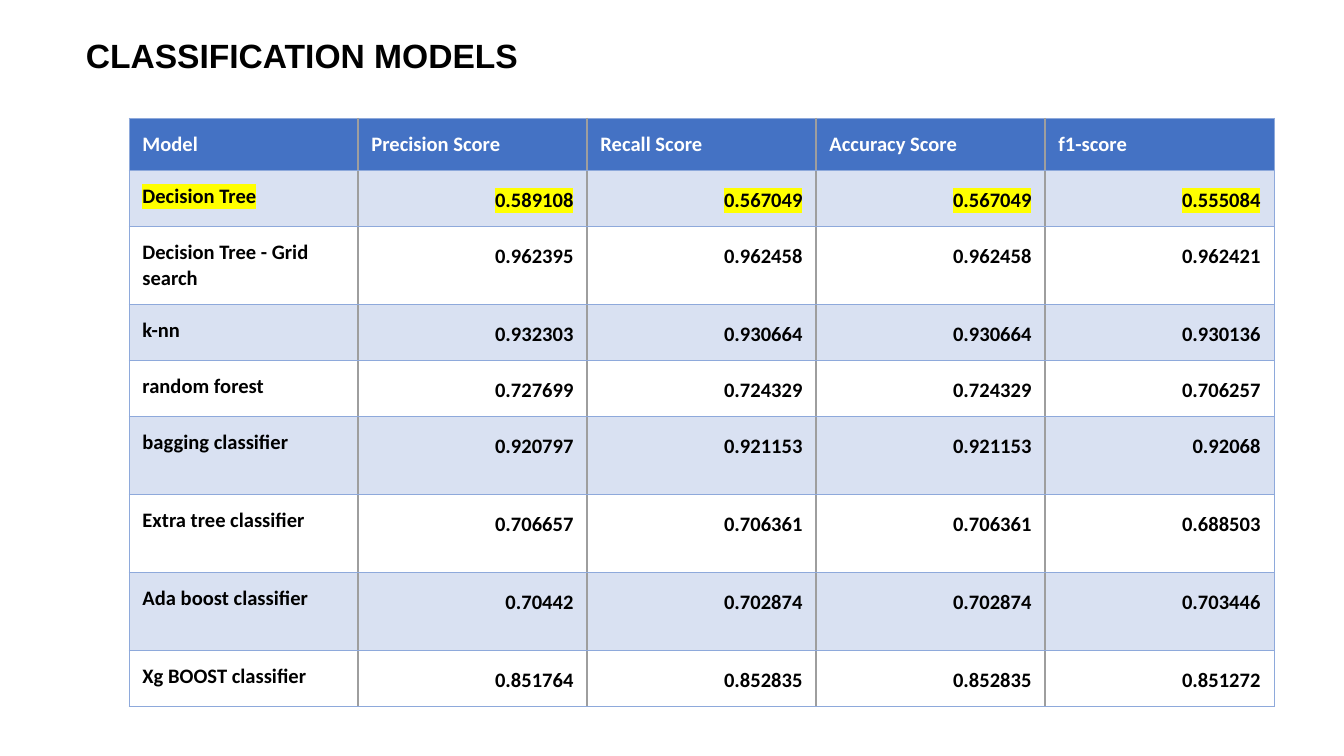
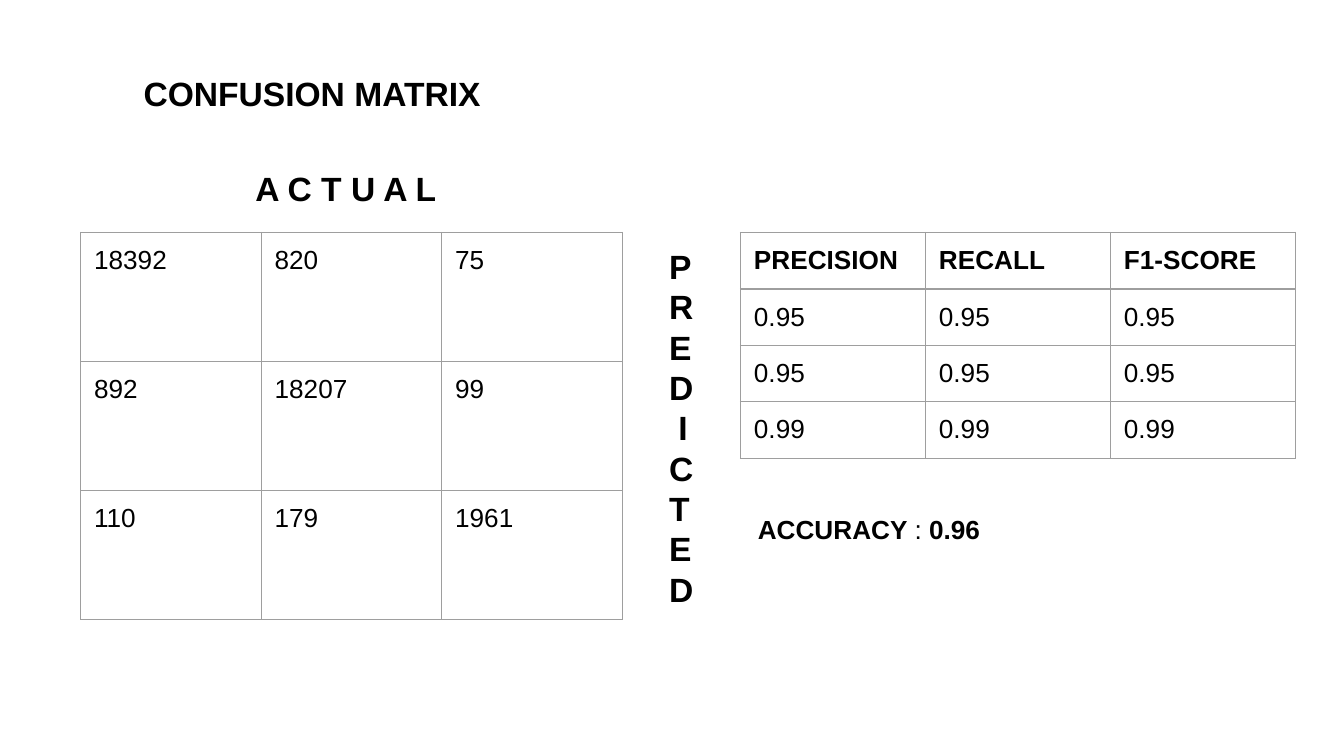
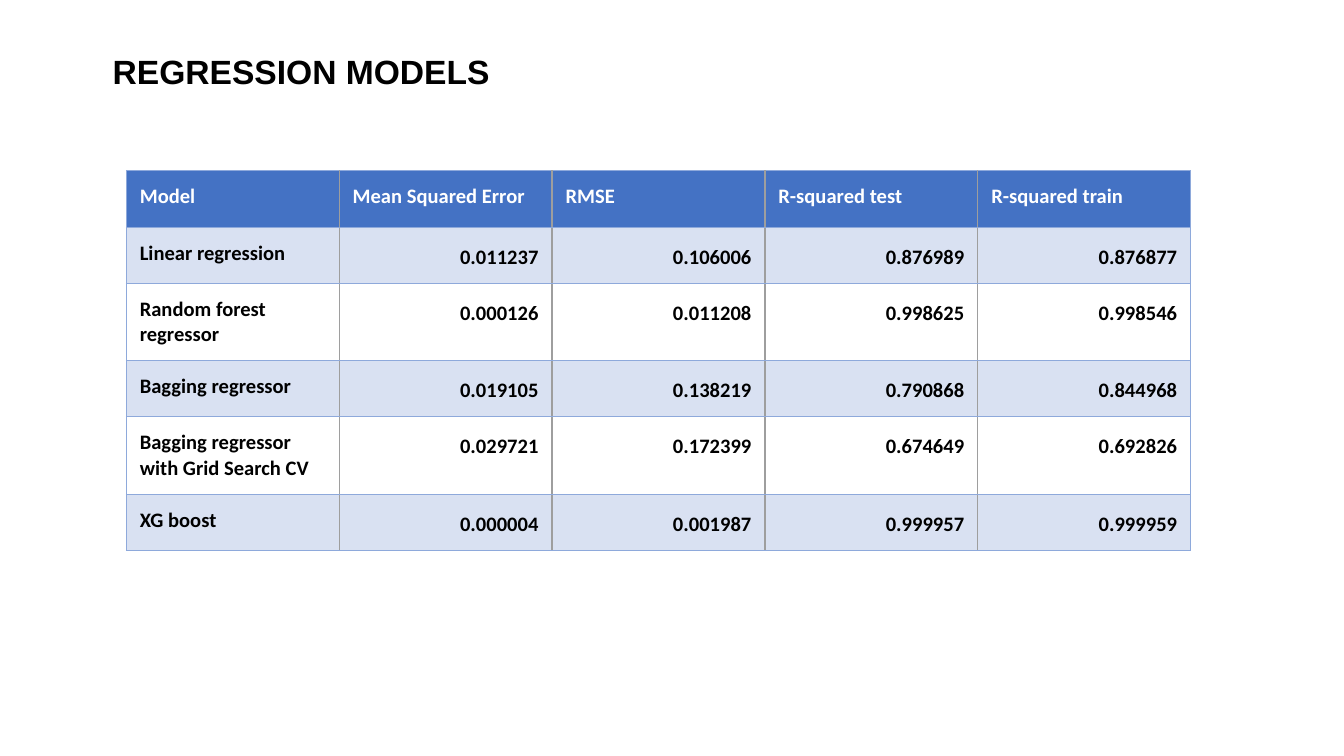
from dataclasses import dataclass

from lxml.etree import SubElement
from pptx import Presentation
from pptx.dml.color import RGBColor as Color
from pptx.enum.text import MSO_AUTO_SIZE as AutoSize, MSO_ANCHOR as Anchor, PP_ALIGN as Align
from pptx.oxml.ns import qn
from pptx.util import Inches, Pt


@dataclass(frozen=True)
class Theme:
    ink: str = "000000"
    paper: str = "FFFFFF"
    header: str = "4472C4"
    band: str = "D9E1F2"
    rule: str = "8EA9DB"
    grid: str = "9E9E9E"
    marker: str = "FFFF00"
    heading_font: str = "Arial"
    score_font: str = "Calibri"
    heading_size: int = 18
    body_size: int = 14
    score_size: int = 11
    rule_width: float = 0.5
    grid_width: float = 0.75
    score_spacing: float = 1.15
    inset: float = 0.1


THEME = Theme()
RULE = (THEME.rule, THEME.rule_width)
GRID = (THEME.grid, THEME.grid_width)

CLASSIFICATION_SCORES = [
    ["Model", "Precision Score", "Recall Score", "Accuracy Score", "f1-score"],
    ["Decision Tree", "0.589108", "0.567049", "0.567049", "0.555084"],
    ["Decision Tree - Grid search", "0.962395", "0.962458", "0.962458", "0.962421"],
    ["k-nn", "0.932303", "0.930664", "0.930664", "0.930136"],
    ["random forest", "0.727699", "0.724329", "0.724329", "0.706257"],
    ["bagging classifier", "0.920797", "0.921153", "0.921153", "0.92068"],
    ["Extra tree classifier", "0.706657", "0.706361", "0.706361", "0.688503"],
    ["Ada boost classifier", "0.70442", "0.702874", "0.702874", "0.703446"],
    ["Xg BOOST classifier", "0.851764", "0.852835", "0.852835", "0.851272"],
]
REGRESSION_SCORES = [
    ["Model", "Mean Squared Error", "RMSE", "R-squared test", "R-squared train"],
    ["Linear regression", "0.011237", "0.106006", "0.876989", "0.876877"],
    ["Random forest regressor", "0.000126", "0.011208", "0.998625", "0.998546"],
    ["Bagging regressor", "0.019105", "0.138219", "0.790868", "0.844968"],
    ["Bagging regressor with Grid Search CV", "0.029721", "0.172399", "0.674649", "0.692826"],
    ["XG boost", "0.000004", "0.001987", "0.999957", "0.999959"],
]
CONFUSION_COUNTS = [
    ["18392", "820", "75"],
    ["892", "18207", "99"],
    ["110", "179", "1961"],
]
CLASS_SCORES = [
    ["PRECISION", "RECALL", "F1-SCORE"],
    ["0.95", "0.95", "0.95"],
    ["0.95", "0.95", "0.95"],
    ["0.99", "0.99", "0.99"],
]


def add_run(paragraph, text, size, font=THEME.heading_font, color=THEME.ink, bold=False, marker=None):
    run = paragraph.add_run()
    run.text = text
    run.font.size = Pt(size)
    run.font.bold = bold
    run.font.color.rgb = Color.from_string(color)
    run.font.name = font
    if marker:
        properties = run.font._element
        highlight = SubElement(properties, qn("a:highlight"))
        SubElement(highlight, qn("a:srgbClr"), val=marker)
        properties.find(qn("a:solidFill")).addnext(highlight)


def set_insets(target):
    target.margin_left = target.margin_right = Inches(THEME.inset)
    target.margin_top = target.margin_bottom = Inches(THEME.inset)


def add_text(slide, box, lines, size=THEME.heading_size, indent=0):
    frame = slide.shapes.add_textbox(*map(Inches, box)).text_frame
    frame.word_wrap = True
    frame.auto_size = AutoSize.NONE
    frame.vertical_anchor = Anchor.TOP
    set_insets(frame)
    frame.margin_left = Inches(THEME.inset + indent)
    for index, line in enumerate(lines):
        paragraph = frame.add_paragraph() if index else frame.paragraphs[0]
        for text, bold in line:
            add_run(paragraph, text, size, bold=bold)


def add_title(slide, box, text):
    add_text(slide, box, [[(text, True)]])


def set_borders(cell, left, right, top, bottom):
    properties = cell._tc.get_or_add_tcPr()
    sides = {"a:lnL": left, "a:lnR": right, "a:lnT": top, "a:lnB": bottom}
    for index, (tag, (color, width)) in enumerate(sides.items()):
        line = SubElement(properties, qn(tag), w=str(Pt(width)))
        fill = SubElement(line, qn("a:solidFill"))
        SubElement(fill, qn("a:srgbClr"), val=color)
        properties.insert(index, line)


def add_grid(slide, left, top, width, row_heights, rows, style_cell):
    columns = len(rows[0])
    frame = slide.shapes.add_table(
        len(rows), columns, Inches(left), Inches(top), Inches(width), Inches(sum(row_heights)))
    table = frame.table
    table.first_row = table.horz_banding = False
    for column in table.columns:
        column.width = Inches(width / columns)
    for row, height in zip(table.rows, row_heights):
        row.height = Inches(height)
    for row_index, row in enumerate(rows):
        for column_index, text in enumerate(row):
            cell = table.cell(row_index, column_index)
            set_insets(cell)
            style_cell(cell, text, row_index, column_index)


def add_score_table(slide, left, top, width, row_heights, rows, marked_row=None):
    last_column = len(rows[0]) - 1

    def style_cell(cell, text, row, column):
        if row == 0 or row % 2:
            cell.fill.solid()
            cell.fill.fore_color.rgb = Color.from_string(THEME.band if row else THEME.header)
        else:
            cell.fill.background()
        set_borders(cell, GRID if column else RULE, RULE if column == last_column else GRID, RULE, RULE)
        paragraph = cell.text_frame.paragraphs[0]
        if row and column:
            paragraph.alignment = Align.RIGHT
            paragraph.line_spacing = THEME.score_spacing
        add_run(paragraph, text, THEME.score_size, THEME.score_font,
                THEME.ink if row else THEME.paper, True,
                THEME.marker if row == marked_row else None)

    add_grid(slide, left, top, width, row_heights, rows, style_cell)


def add_plain_table(slide, left, top, width, row_height, rows, has_header=False):
    def style_cell(cell, text, row, column):
        cell.fill.background()
        set_borders(cell, GRID, GRID, GRID, GRID)
        add_run(cell.text_frame.paragraphs[0], text, THEME.body_size, bold=has_header and row == 0)

    add_grid(slide, left, top, width, [row_height] * len(rows), rows, style_cell)


def build_classification(slide):
    add_title(slide, (0.54, 0.16, 3.81, 0.59), "CLASSIFICATION MODELS")
    heights = [0.38, 0.41, 0.58, 0.41, 0.41, 0.58, 0.58, 0.58, 0.41]
    add_score_table(slide, 0.96, 0.88, 8.52, heights, CLASSIFICATION_SCORES, marked_row=1)


def build_confusion(slide):
    tables_top = 1.73
    add_title(slide, (0.97, 0.44, 5.22, 0.42), "CONFUSION MATRIX")
    add_plain_table(slide, 0.6, tables_top, 4.03, 0.96, CONFUSION_COUNTS)
    add_text(slide, (0.97, 1.15, 3.51, 0.29), [[("A C T U A L", True)]], indent=0.83)
    letters = ["P", "R", "E", "D", " I", "C", "T", "E", "D"]
    add_text(slide, (4.88, tables_top, 0.5, 2.38), [[(letter, True)] for letter in letters])
    add_plain_table(slide, 5.51, tables_top, 4.13, 0.42, CLASS_SCORES, has_header=True)
    accuracy = [("ACCURACY ", True), (": ", False), ("0.96", True)]
    add_text(slide, (5.54, 3.72, 4.14, 0.56), [accuracy], THEME.body_size)


def build_regression(slide):
    add_title(slide, (0.74, 0.28, 4.91, 0.52), "REGRESSION MODELS")
    heights = [0.42, 0.41, 0.57, 0.41, 0.57, 0.41]
    add_score_table(slide, 0.94, 1.27, 7.92, heights, REGRESSION_SCORES)


def main():
    presentation = Presentation()
    presentation.slide_width = Inches(10)
    presentation.slide_height = presentation.slide_width * 9 // 16
    blank_layout = presentation.slide_layouts[6]
    for build in (build_classification, build_confusion, build_regression):
        build(presentation.slides.add_slide(blank_layout))
    presentation.save("out.pptx")


if __name__ == "__main__":
    main()
